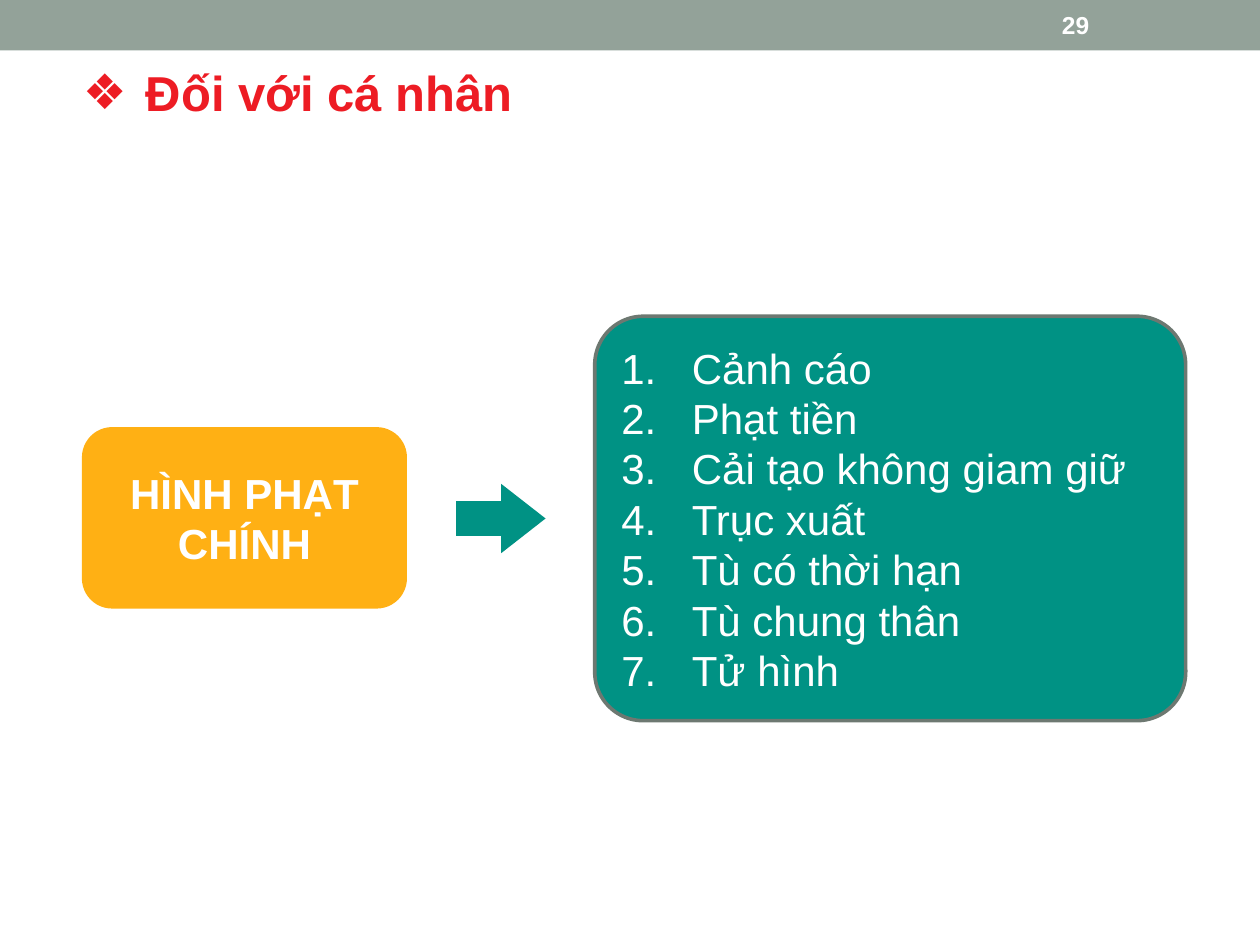
from lxml.etree import SubElement as Sub
from pptx import Presentation as Deck
from pptx.dml.color import RGBColor as Rgb
from pptx.enum.shapes import MSO_SHAPE as Kind
from pptx.enum.text import MSO_ANCHOR as Anchor, PP_ALIGN as Align
from pptx.oxml.ns import qn
from pptx.util import Inches, Pt

HUES = {"band": "93A299", "white": "FFFFFF", "red": "ED1C24",
        "gold": "FFB014", "teal": "009284", "edge": "6D7871"}
WIDE, HIGH = Inches(10), Inches(7.5)
COLS, ROWS = 100, 75
TERMS = ["Cảnh cáo", "Phạt tiền", "Cải tạo không giam giữ", "Trục xuất",
         "Tù có thời hạn", "Tù chung thân", "Tử hình"]


def hue(name):
    """Return a named colour."""
    return Rgb.from_string(HUES[name])


def place(col, row, cols, rows):
    """Turn grid columns and rows into slide lengths."""
    return (round(WIDE * col / COLS), round(HIGH * row / ROWS),
            round(WIDE * cols / COLS), round(HIGH * rows / ROWS))


def block(slide, kind, spot, fill, adj=(), edge=None):
    """Add a filled preset shape with an optional outline."""
    shape = slide.shapes.add_shape(kind, *place(*spot))
    shape.shadow.inherit = False
    shape.fill.solid()
    shape.fill.fore_color.rgb = hue(fill)
    for i, value in enumerate(adj):
        shape.adjustments[i] = value
    if edge:
        shape.line.color.rgb = hue(edge)
        shape.line.width = Pt(2.08)
    else:
        shape.line.fill.background()
    return shape


def label(slide, spot):
    """Add an empty text box on the grid."""
    return slide.shapes.add_textbox(*place(*spot))


def bullet(para, indent, tag, **attrs):
    """Give a paragraph a hanging bullet or number."""
    props = para._p.get_or_add_pPr()
    props.set("marL", str(Inches(indent)))
    props.set("indent", str(-Inches(indent)))
    Sub(props, qn("a:buFont"), typeface="Arial")
    Sub(props, qn(tag), **attrs)


def write(shape, lines, size, tone="white", bold=False, align=Align.LEFT,
          anchor=Anchor.MIDDLE, mark=None):
    """Write one run per paragraph and return the paragraphs."""
    frame = shape.text_frame
    frame.word_wrap = True
    frame.vertical_anchor = anchor
    for i, line in enumerate(lines):
        para = frame.add_paragraph() if i else frame.paragraphs[0]
        para.alignment = align
        if mark:
            mark(para)
        run = para.add_run()
        run.text = line
        font = run.font
        font.name, font.size, font.bold = "Arial", Pt(size), bold
        font.color.rgb = hue(tone)
    return frame.paragraphs


def main():
    """Build and save the slide."""
    deck = Deck()
    deck.slide_width, deck.slide_height = WIDE, HIGH
    slide = deck.slides.add_slide(deck.slide_layouts[6])

    block(slide, Kind.RECTANGLE, (0, 0, COLS, 4), "band")
    write(label(slide, (83.3, 0.2, 11.7, 3.6)), ["29"], 14, bold=True)

    head = write(label(slide, (5.6, 5, 89.4, 9.2)), ["Đối với cá nhân"], 28,
                 "red", True, anchor=Anchor.TOP,
                 mark=lambda para: bullet(para, 0.5, "a:buChar", char="❖"))
    head[0].line_spacing = 0.9

    cause = block(slide, Kind.ROUNDED_RECTANGLE, (6.5, 33.9, 25.8, 14.4), "gold")
    write(cause, ["HÌNH PHẠT CHÍNH"], 24, bold=True, align=Align.CENTER)

    block(slide, Kind.RIGHT_ARROW, (36.2, 38.4, 7.1, 5.5), "teal", (0.5, 0.64))

    panel = block(slide, Kind.ROUNDED_RECTANGLE, (47.2, 25.1, 46.9, 32.1),
                  "teal", (0.12,), "edge")
    write(panel, TERMS, 24, align=Align.JUSTIFY,
          mark=lambda para: bullet(para, 0.56, "a:buAutoNum", type="arabicPeriod"))

    deck.save("out.pptx")


if __name__ == "__main__":
    main()
